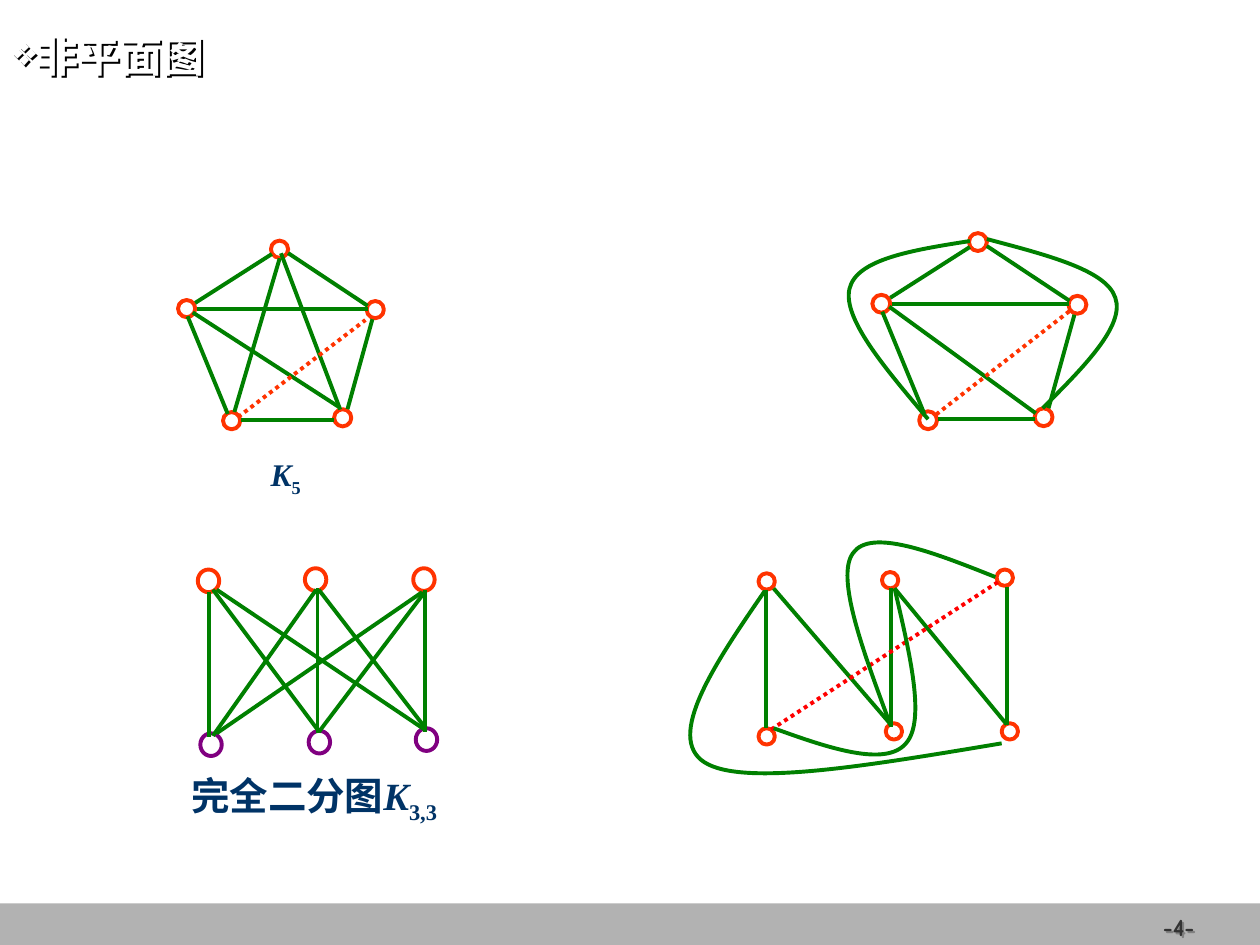
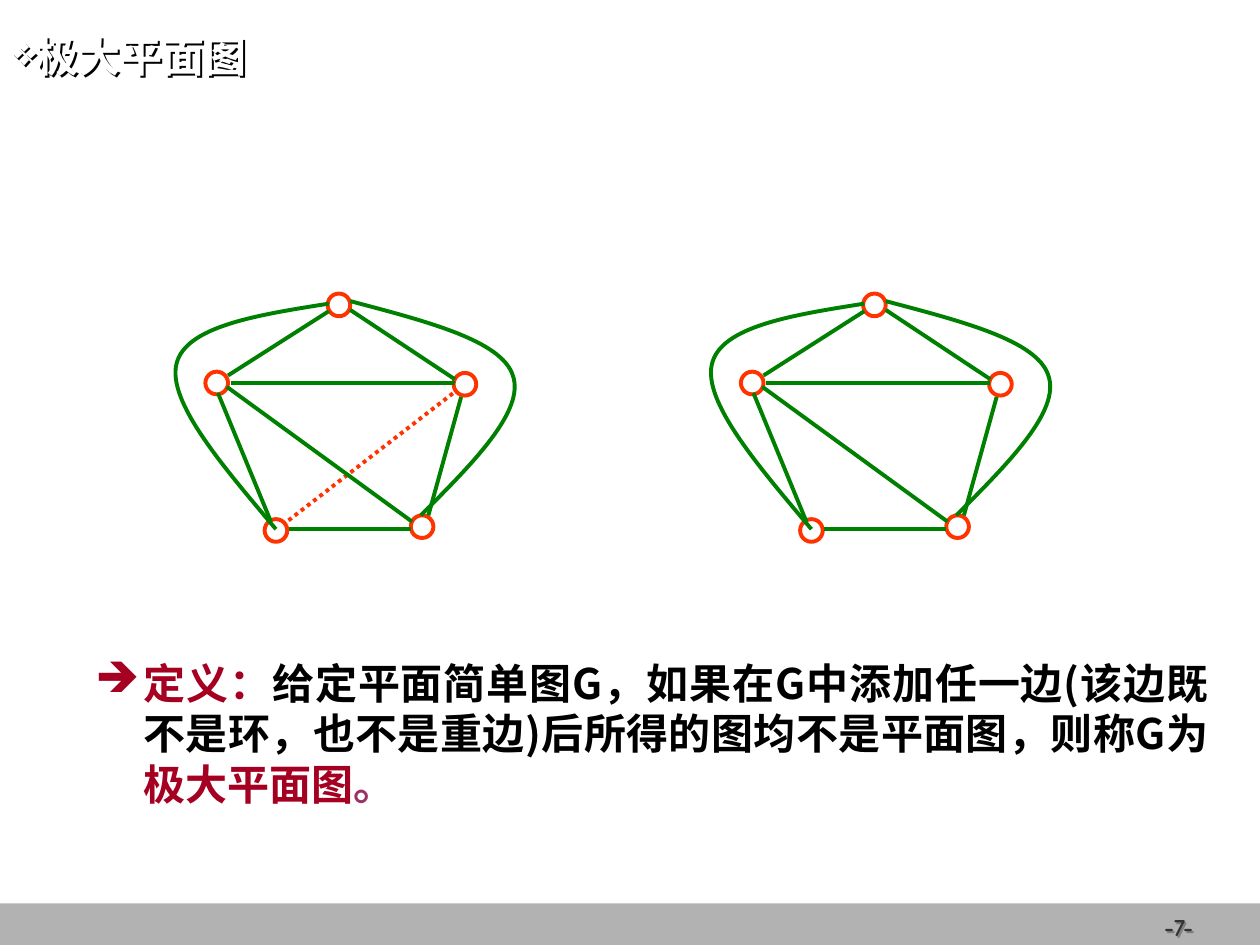
from dataclasses import dataclass

from lxml import etree
from pptx import Presentation
from pptx.dml.color import RGBColor
from pptx.enum.dml import MSO_LINE
from pptx.enum.shapes import MSO_CONNECTOR, MSO_SHAPE
from pptx.enum.text import MSO_ANCHOR, PP_ALIGN
from pptx.oxml.ns import qn
from pptx.util import Emu, Pt

EMU_PER_PX = 9144

STRAIGHT = MSO_CONNECTOR.STRAIGHT
ELLIPSE = MSO_SHAPE.OVAL
RECTANGLE = MSO_SHAPE.RECTANGLE
DOTTED = MSO_LINE.ROUND_DOT
TOP, MIDDLE, BOTTOM = MSO_ANCHOR.TOP, MSO_ANCHOR.MIDDLE, MSO_ANCHOR.BOTTOM
LEFT, CENTER, JUSTIFY = PP_ALIGN.LEFT, PP_ALIGN.CENTER, PP_ALIGN.JUSTIFY

Point = tuple[int, int]


@dataclass(frozen=True)
class Theme:
    white: str = "FFFFFF"
    black: str = "000000"
    band: str = "B2B2B2"
    page_number: str = "333333"
    number_shadow: str = "808080"
    label: str = "003366"
    node: str = "FF3300"
    lower_node: str = "800080"
    edge: str = "008000"
    crossing: str = "FF0000"
    term: str = "A50021"
    full_stop: str = "993366"
    cjk_font: str = "Noto Sans CJK SC"
    math_font: str = "Times New Roman"
    number_font: str = "Comic Neue"
    bullet_font: str = "OpenSymbol"
    heading_size: int = 24
    bipartite_size: int = 22
    label_size: int = 18
    number_size: int = 14
    line_width: float = 2.25
    shadow_distance: float = 1.5


THEME = Theme()


@dataclass(frozen=True)
class Frame:
    left: int
    top: int
    width: int
    height: int


@dataclass(frozen=True)
class Span:
    text: str
    size: int
    color: str
    font: str = THEME.cjk_font
    italic: bool = False
    subscript: bool = False


@dataclass(frozen=True)
class Bullet:
    symbol: str
    color: str
    hanging: int = 0


@dataclass(frozen=True)
class Node:
    left: int
    top: int
    width: int
    height: int
    color: str = THEME.node


@dataclass(frozen=True)
class Edge:
    start: Point
    end: Point
    color: str = THEME.edge
    dotted: bool = False


@dataclass(frozen=True)
class Curve:
    points: tuple[Point, ...]


@dataclass(frozen=True)
class Graph:
    nodes: tuple[Node, ...]
    edges: tuple[Edge, ...]
    curves: tuple[Curve, ...] = ()


@dataclass(frozen=True)
class Placement:
    left: int = 0
    top: int = 0
    scale: float = 1

    def at(self, point: Point) -> tuple[Emu, Emu]:
        return emu(self.left + point[0] * self.scale), emu(self.top + point[1] * self.scale)


PENTAGON = Graph(
    nodes=tuple(Node(x, y, 18, 18) for x, y in
                [(0, 0), (-97, 62), (-50, 179), (66, 176), (100, 63)]),
    edges=(
        Edge((-77, 71), (101, 71)),
        Edge((-31, 187), (66, 187)),
        Edge((1, 14), (-79, 65)),
        Edge((18, 13), (101, 68)),
        Edge((-87, 79), (-45, 181)),
        Edge((106, 82), (80, 176)),
    ),
)
WRAPPED_PENTAGON = Graph(PENTAGON.nodes, PENTAGON.edges + (Edge((-80, 74), (67, 181)),), (
    Curve(((1, 8), (-56, 17), (-113, 26), (-120, 56), (-127, 86), (-84, 136), (-41, 187))),
    Curve(((18, 6), (78, 22), (138, 37), (147, 65), (157, 93), (115, 135), (74, 176))),
))
K5_DIAGONALS = Graph((), (
    Edge((222, 205), (186, 327)),
    Edge((223, 201), (270, 325)),
    Edge((153, 248), (269, 323)),
    Edge((189, 331), (290, 254), THEME.node, True),
))
BIPARTITE = Graph(
    nodes=tuple(Node(x, y, 17, 18) for x, y in [(157, 452), (242, 451), (328, 451)])
    + tuple(Node(x, y, 17, 18, THEME.lower_node) for x, y in [(245, 580), (159, 582), (330, 578)]),
    edges=(
        Edge((166, 470), (166, 585)),
        Edge((252, 467), (252, 582)),
        Edge((337, 468), (337, 581)),
        Edge((169, 468), (252, 579)),
        Edge((172, 468), (337, 579)),
        Edge((251, 468), (169, 584)),
        Edge((253, 468), (337, 577)),
        Edge((335, 470), (172, 582)),
        Edge((337, 470), (253, 581)),
    ),
)
REDRAWN_BIPARTITE = Graph(
    nodes=tuple(Node(x, y, 13, 13) for x, y in
                [(602, 455), (602, 578), (795, 574), (700, 454), (703, 574), (791, 452)]),
    edges=(
        Edge((608, 468), (608, 578)),
        Edge((707, 467), (707, 577)),
        Edge((799, 466), (799, 575)),
        Edge((614, 467), (707, 575)),
        Edge((710, 467), (799, 575)),
        Edge((612, 579), (792, 462), THEME.crossing, True),
    ),
    curves=(
        Curve(((607, 469), (567, 527), (528, 585), (559, 605), (590, 625), (693, 607), (795, 590))),
        Curve(((614, 578), (658, 594), (703, 609), (719, 590), (735, 572), (722, 519), (710, 467))),
        Curve(((790, 458), (740, 438), (691, 419), (677, 439), (663, 458), (685, 517), (707, 576))),
    ),
)


def emu(px: float) -> Emu:
    return Emu(round(px * EMU_PER_PX))


def rgb(color: str) -> RGBColor:
    return RGBColor.from_string(color)


def style_line(line, color: str) -> None:
    line.color.rgb = rgb(color)
    line.width = Pt(THEME.line_width)


def add_band(page, frame: Frame, color: str) -> None:
    band = page.shapes.add_shape(RECTANGLE, *map(emu, (frame.left, frame.top, frame.width, frame.height)))
    band.shadow.inherit = False
    band.fill.solid()
    band.fill.fore_color.rgb = rgb(color)
    band.line.fill.background()


def add_span(para, span: Span) -> None:
    run = para.add_run()
    run.text = span.text
    run.font.size = Pt(span.size)
    run.font.bold = True
    run.font.italic = span.italic
    run.font.color.rgb = rgb(span.color)
    run.font.name = span.font
    properties = run._r.get_or_add_rPr()
    properties.find(qn("a:latin")).addnext(etree.Element(qn("a:ea"), typeface=THEME.cjk_font))
    if span.subscript:
        properties.set("baseline", "-25000")


def add_bullet(para, bullet: Bullet) -> None:
    properties = para._p.get_or_add_pPr()
    properties.set("marL", str(emu(bullet.hanging)))
    properties.set("indent", str(-emu(bullet.hanging)))
    color = etree.SubElement(properties, qn("a:buClr"))
    etree.SubElement(color, qn("a:srgbClr"), val=bullet.color)
    etree.SubElement(properties, qn("a:buFont"), typeface=THEME.bullet_font)
    etree.SubElement(properties, qn("a:buChar"), char=bullet.symbol)


def add_text_shadow(box, color: str) -> None:
    effects = etree.SubElement(box._element.spPr, qn("a:effectLst"))
    shadow = etree.SubElement(effects, qn("a:outerShdw"),
                              dist=str(Pt(THEME.shadow_distance)), dir="2700000")
    etree.SubElement(shadow, qn("a:srgbClr"), val=color)


def add_text(page, frame: Frame, spans: list[Span], anchor=TOP, align=LEFT,
             bullet: Bullet | None = None, wrap: bool = True, shadow: str | None = None) -> None:
    box = page.shapes.add_textbox(*map(emu, (frame.left, frame.top, frame.width, frame.height)))
    box.text_frame.word_wrap = wrap
    box.text_frame.vertical_anchor = anchor
    if shadow:
        add_text_shadow(box, shadow)
    para = box.text_frame.paragraphs[0]
    para.alignment = align
    if bullet:
        add_bullet(para, bullet)
    for span in spans:
        add_span(para, span)


def add_node(page, node: Node, place: Placement) -> None:
    left, top = place.at((node.left, node.top))
    circle = page.shapes.add_shape(ELLIPSE, left, top, emu(node.width * place.scale),
                                   emu(node.height * place.scale))
    circle.shadow.inherit = False
    circle.fill.solid()
    circle.fill.fore_color.rgb = rgb(THEME.white)
    style_line(circle.line, node.color)


def add_edge(page, edge: Edge, place: Placement) -> None:
    line = page.shapes.add_connector(STRAIGHT, *place.at(edge.start), *place.at(edge.end))
    style_line(line.line, edge.color)
    if edge.dotted:
        line.line.dash_style = DOTTED
    etree.SubElement(line._element.spPr, qn("a:effectLst"))


def add_curve(page, curve: Curve, place: Placement) -> None:
    points = [place.at(point) for point in curve.points]
    builder = page.shapes.build_freeform(*points[0])
    builder.add_line_segments(points[3::3], close=False)
    shape = builder.convert_to_shape()
    segments = list(shape._element.iter(qn("a:lnTo")))
    for index, segment in enumerate(segments):
        bend = etree.Element(qn("a:cubicBezTo"))
        for x, y in points[3 * index + 1:3 * index + 4]:
            etree.SubElement(bend, qn("a:pt"), x=str(x - shape.left), y=str(y - shape.top))
        segment.getparent().replace(segment, bend)
    shape.shadow.inherit = False
    shape.fill.background()
    style_line(shape.line, THEME.edge)


def draw_graph(page, graph: Graph, place: Placement = Placement()) -> None:
    for node in graph.nodes:
        add_node(page, node, place)
    for edge in graph.edges:
        add_edge(page, edge, place)
    for curve in graph.curves:
        add_curve(page, curve, place)


def add_page(deck, title: str, number: int):
    page = deck.slides.add_slide(deck.slide_layouts[6])
    add_band(page, Frame(0, 717, 1002, 34), THEME.band)
    add_band(page, Frame(1, 93, 999, 623), THEME.white)
    add_text(page, Frame(882, 695, 107, 57),
             [Span(f"-{number}-", THEME.number_size, THEME.page_number, THEME.number_font)],
             BOTTOM, CENTER, shadow=THEME.number_shadow)
    add_text(page, Frame(0, 0, 900, 88), [Span(title, THEME.heading_size, THEME.white)],
             MIDDLE, bullet=Bullet("❖", THEME.white), shadow=THEME.black)
    return page


def math_label(letter: str, index: str, size: int) -> list[Span]:
    return [Span(letter, size, THEME.label, THEME.math_font, italic=True),
            Span(index, size, THEME.label, THEME.math_font, subscript=True)]


def build_nonplanar_page(deck) -> None:
    page = add_page(deck, "非平面图", 4)
    draw_graph(page, PENTAGON, Placement(215, 191, 0.76))
    draw_graph(page, K5_DIAGONALS)
    draw_graph(page, REDRAWN_BIPARTITE)
    draw_graph(page, BIPARTITE)
    draw_graph(page, WRAPPED_PENTAGON, Placement(769, 185, 0.79))
    add_edge(page, Edge((743, 329), (850, 246), THEME.node, True), Placement())
    add_text(page, Frame(142, 608, 244, 52),
             [Span("完全二分图", THEME.bipartite_size, THEME.label, THEME.math_font),
              *math_label("K", "3,3", THEME.bipartite_size)])
    add_text(page, Frame(205, 356, 44, 44), math_label("K", "5", THEME.label_size), wrap=False)


def build_maximal_page(deck) -> None:
    page = add_page(deck, "极大平面图", 7)
    definition = [
        ("定义：", THEME.term),
        ("给定平面简单图G，如果在G中添加任一边(该边既不是环，也不是重边)后所得的图均不是平面图，则称G为", THEME.black),
        ("极大平面图", THEME.term),
        ("。", THEME.full_stop),
    ]
    add_text(page, Frame(66, 517, 903, 137),
             [Span(text, THEME.heading_size, color) for text, color in definition],
             align=JUSTIFY, bullet=Bullet("➔", THEME.term, 38))
    add_edge(page, Edge((229, 413), (361, 311), THEME.node, True), Placement())
    for left in (260, 685):
        draw_graph(page, WRAPPED_PENTAGON, Placement(left, 233))


def main() -> None:
    deck = Presentation()
    deck.slide_width, deck.slide_height = emu(1000), emu(750)
    build_nonplanar_page(deck)
    build_maximal_page(deck)
    deck.save("out.pptx")


if __name__ == "__main__":
    main()
